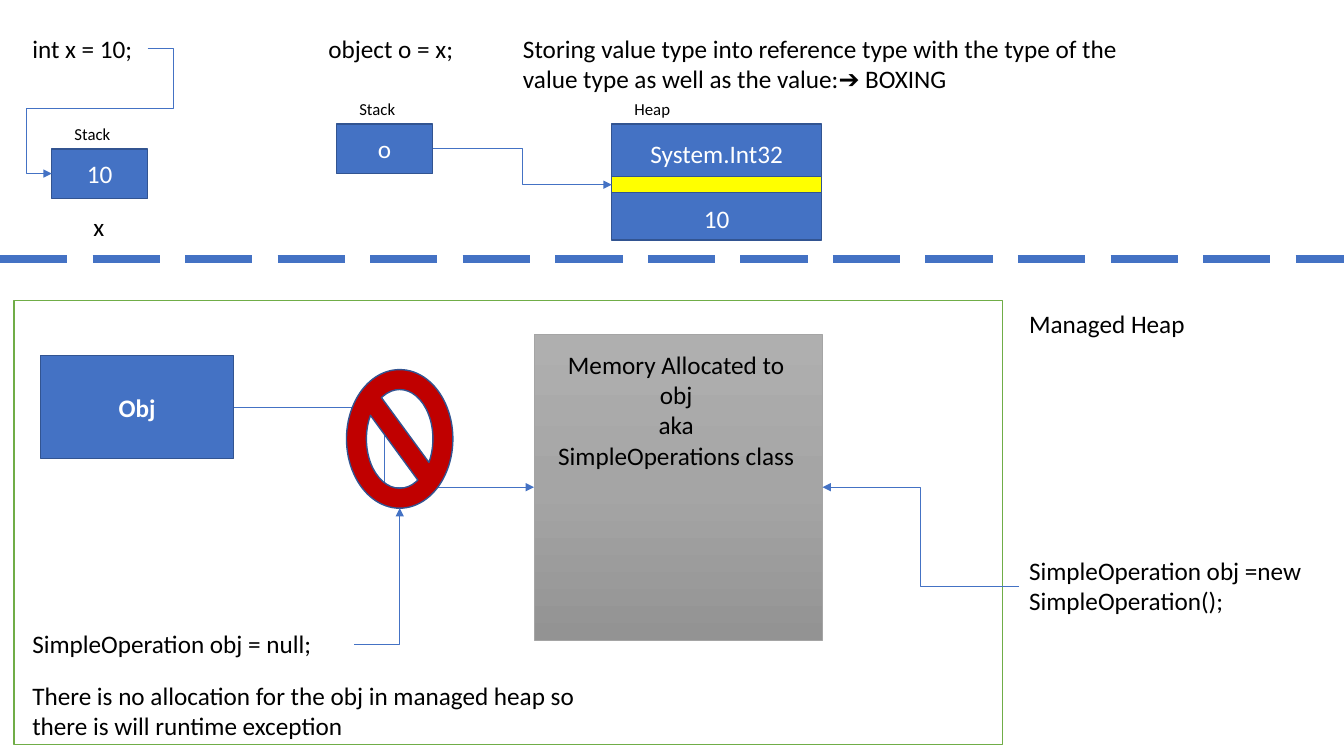
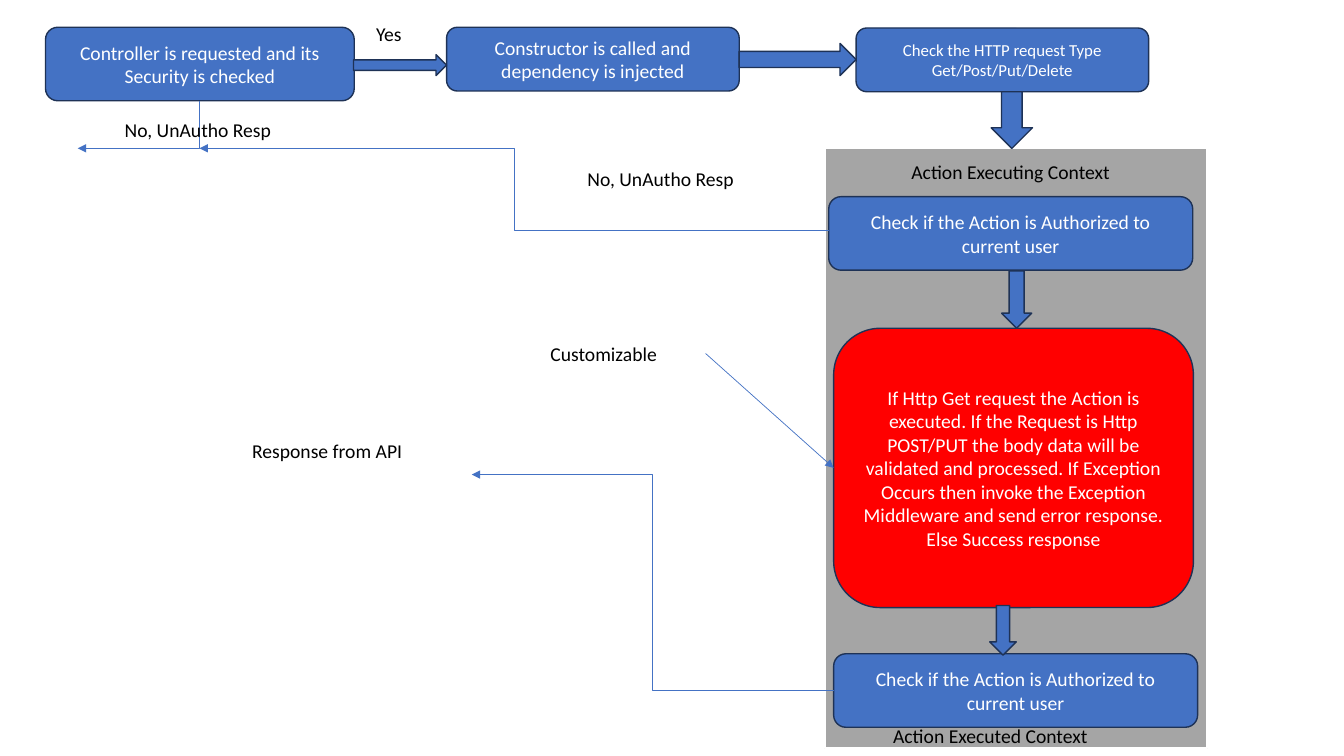
"""Builds two slides: boxing with the managed heap, and the life of an API request."""
import copy

import pptx
import pptx.dml.color
import pptx.enum.dml
import pptx.enum.shapes
import pptx.enum.text
import pptx.oxml.ns
import pptx.util
from lxml import etree

Pt = pptx.util.Pt
qn = pptx.oxml.ns.qn
SHAPE = pptx.enum.shapes.MSO_SHAPE
CONNECTOR = pptx.enum.shapes.MSO_CONNECTOR
ALIGN = pptx.enum.text.PP_ALIGN

COLORS = {
    "blue": "4472C4", "navy": "325491", "ink": "1E3256", "black": "000000",
    "white": "FFFFFF", "yellow": "FFFF00", "green": "70AD47", "gray": "A5A5A5",
    "light": "AFAFAF", "dark": "939393", "crimson": "C00000", "red": "FF0000",
}


def rgb(name):
    return pptx.dml.color.RGBColor.from_string(COLORS[name])


class Diagram:
    """Holds the current slide, its text size and its outline colour."""

    font = "Calibri"

    def __init__(self, deck, size, outline):
        self.slide = deck.slides.add_slide(deck.slide_layouts[6])
        self.size = size
        self.outline = outline

    def fill_text(self, frame, text, color, size, align, bold=False):
        frame.text = text
        frame.word_wrap = True
        for paragraph in frame.paragraphs:
            paragraph.alignment = align
            for run in paragraph.runs:
                run.font.name = self.font
                run.font.size = Pt(size or self.size)
                run.font.bold = bold
                run.font.color.rgb = rgb(color)

    def label(self, text, x, y, w, h, centered=False, color="black", size=None):
        box = self.slide.shapes.add_textbox(Pt(x), Pt(y), Pt(w), Pt(h))
        align = ALIGN.CENTER if centered else ALIGN.LEFT
        self.fill_text(box.text_frame, text, color, size, align)
        box.text_frame.auto_size = pptx.enum.text.MSO_AUTO_SIZE.SHAPE_TO_FIT_TEXT

    def block(self, x, y, w, h, text="", kind=SHAPE.RECTANGLE, fill="blue",
              outline=None, weight=1, size=None, bold=False):
        block = self.slide.shapes.add_shape(kind, Pt(x), Pt(y), Pt(w), Pt(h))
        block.shadow.inherit = False
        block.fill.solid()
        block.fill.fore_color.rgb = rgb(fill)
        block.line.color.rgb = rgb(outline or self.outline)
        block.line.width = Pt(weight)
        if text:
            block.text_frame.vertical_anchor = pptx.enum.text.MSO_ANCHOR.MIDDLE
            self.fill_text(block.text_frame, text, "white", size, ALIGN.CENTER, bold)
        return block

    def step(self, x, y, w, h, text, **style):
        return self.block(x, y, w, h, text, SHAPE.ROUNDED_RECTANGLE, **style)

    def shade(self, block, top, middle, bottom):
        block.fill.gradient()
        block.fill.gradient_angle = 270
        first, last = block.fill.gradient_stops
        first.color.rgb, last.color.rgb = rgb(top), rgb(bottom)
        stops = block._element.spPr.find(qn("a:gradFill")).find(qn("a:gsLst"))
        center = copy.deepcopy(stops[0])
        center.set("pos", "50000")
        center[0].set("val", COLORS[middle])
        stops.insert(1, center)

    def line(self, start, end, kind=CONNECTOR.STRAIGHT, weight=0.5, dash=None, arrow="tailEnd"):
        line = self.slide.shapes.add_connector(kind, *map(Pt, start + end))
        line.line.color.rgb = rgb("blue")
        line.line.width = Pt(weight)
        if dash:
            line.line.dash_style = dash
        properties = line._element.spPr
        if arrow:
            etree.SubElement(properties.find(qn("a:ln")), qn(f"a:{arrow}"), type="triangle")
        etree.SubElement(properties, qn("a:effectLst"))
        return line

    def elbow(self, start, end, bends=3, adjust=(), arrow="tailEnd"):
        elbow = self.line(start, end, CONNECTOR.ELBOW, arrow=arrow)
        geometry = elbow._element.spPr.find(qn("a:prstGeom"))
        geometry.set("prst", f"bentConnector{bends}")
        for number, value in enumerate(adjust, 1):
            etree.SubElement(geometry.find(qn("a:avLst")), qn("a:gd"),
                             name=f"adj{number}", fmla=f"val {value}")


def build_boxing(deck):
    page = Diagram(deck, 18, "navy")
    page.label("int x = 10;", 16, 20, 88.5, 29)
    page.label("object o = x;", 227.5, 20, 105, 29)
    page.label("Storing value type into reference type with the type of the value type "
               "as well as the value:➔ BOXING", 366.5, 20, 451, 51)
    for name, x, y in (("Stack", 37, 84.5), ("Stack", 240.5, 67), ("Heap", 437, 67)):
        page.label(name, x, y, 58, 22, centered=True, size=12)
    page.block(37, 106.5, 68.5, 35.5, "10")
    page.label("x", 53, 147.5, 35, 29, centered=True)
    page.elbow((105.5, 34.5), (37, 124), bends=5, adjust=(-26300, 48200, 126300))
    page.block(240.5, 88.5, 68.5, 35.5, "o")
    page.block(437, 88.5, 150, 83)
    page.block(437, 126, 150, 11.5, fill="yellow")
    page.label("System.Int32", 437, 95, 150, 29, centered=True, color="white")
    page.label("10", 437, 142, 150, 29, centered=True, color="white")
    page.elbow((309, 106.25), (437, 132))

    page.line((0, 185), (960, 185), weight=6, arrow=None,
              dash=pptx.enum.dml.MSO_LINE.LONG_DASH)

    page.block(10, 214.5, 706, 317.5, fill="white", outline="green")
    page.label("Managed Heap", 728, 217, 150, 29)
    page.label("SimpleOperation obj =new SimpleOperation();", 728, 393, 216, 51)
    page.block(29, 254, 138, 73.5, "Obj", bold=True)
    memory = page.block(381.5, 238.5, 206, 219, outline="gray", weight=0.5)
    page.shade(memory, "light", "gray", "dark")
    page.label("Memory Allocated to\nobj\naka\nSimpleOperations class",
               384.5, 246, 197, 94, centered=True)
    page.elbow((167, 290.75), (381.5, 348))
    page.label("SimpleOperation obj = null;", 16, 445, 237, 29)
    page.block(247.5, 264, 76, 99, kind=SHAPE.NO_SYMBOL, fill="crimson")
    page.elbow((253, 460), (285.5, 363), bends=2)
    page.label("There is no allocation for the obj in managed heap so there is will "
               "runtime exception", 16, 482.5, 405.5, 51)
    page.elbow((728, 418.5), (587.5, 348))


def build_request_flow(deck):
    page = Diagram(deck, 14, "ink")
    authorized = "Check if the Action is Authorized to current user"
    page.step(32.5, 19.5, 220.5, 52.5, "Controller is requested and its Security is checked")
    page.step(319, 19.5, 209, 45.5, "Constructor is called and dependency is injected")
    page.step(611.5, 20, 209, 45.5, "Check the HTTP request Type Get/Post/Put/Delete", size=12)
    page.elbow((55.5, 106), (142.5, 72), bends=2, arrow="headEnd")
    page.block(589, 106, 273.5, 428.5, fill="gray", outline="white", weight=1.5)
    page.step(592, 140.5, 260, 52.5, authorized)
    page.elbow((592, 164.5), (142.5, 106))
    action = page.step(
        595.5, 234.5, 257, 199.5,
        "If Http Get request the Action is executed. If the Request is Http POST/PUT the "
        "body data will be validated and processed. If Exception Occurs then invoke the "
        "Exception Middleware and send error response. Else Success response", fill="red")
    page.step(595.5, 467, 260, 52.5, authorized)
    page.elbow((595.5, 493.25), (337, 339))
    for x, y, w, h in ((252.5, 39, 66.5, 15), (528, 31, 83.5, 23)):
        page.block(x, y, w, h, kind=SHAPE.RIGHT_ARROW)
    for x, y, w, h in ((708, 65.5, 29.5, 40.5), (715.5, 193.5, 21.5, 41), (707, 432.5, 19, 35.5)):
        page.block(x, y, w, h, kind=SHAPE.DOWN_ARROW)
    for text, x, y, w in (("Yes", 261.5, 12, 40.5), ("No, UnAutho Resp", 82, 80.5, 129),
                          ("No, UnAutho Resp", 412.5, 116, 129),
                          ("Response from API", 173, 310, 168),
                          ("Customizable", 386, 240.5, 118)):
        page.label(text, x, y, w, 24.5)
    page.label("Action Executing Context", 592, 111, 260, 24.5, centered=True)
    page.label("Action Executed Context", 577.5, 513.5, 260, 24.5, centered=True)
    page.line((504, 252.5), (595.5, 334.25)).end_connect(action, 1)


def main():
    deck = pptx.Presentation()
    deck.slide_width, deck.slide_height = Pt(960), Pt(540)
    build_boxing(deck)
    build_request_flow(deck)
    deck.save("out.pptx")


if __name__ == "__main__":
    main()
